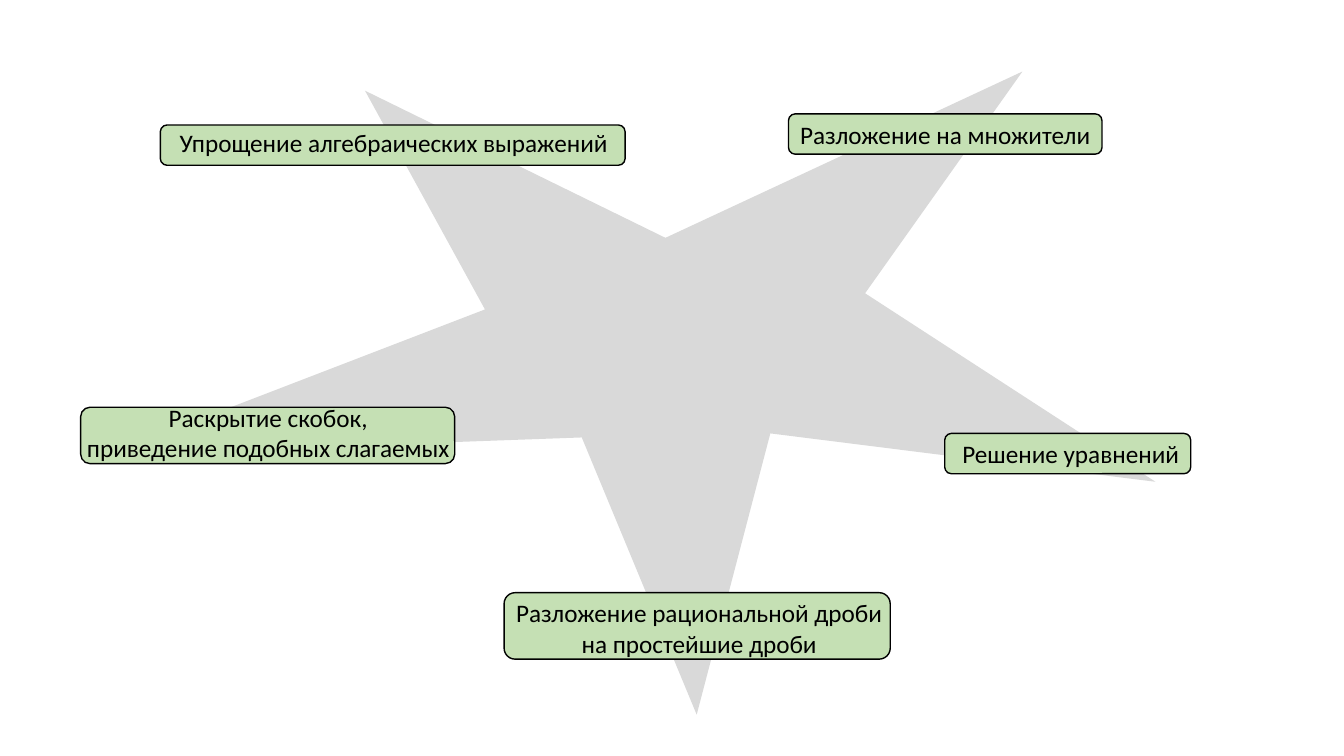
from pptx import Presentation
from pptx.dml.color import RGBColor
from pptx.enum.shapes import MSO_SHAPE
from pptx.enum.text import MSO_ANCHOR, MSO_AUTO_SIZE, PP_ALIGN
from pptx.util import Emu, Pt

EMU_PER_PX = 9144
SLIDE_SIZE = (1333, 750)

STAR_POINTS = [
    (362, 90), (660, 236), (1014, 71), (858, 291), (1146, 478), (764, 430),
    (691, 709), (577, 434), (107, 451), (481, 307),
]

TOPICS = [
    ((159, 124, 461, 40), (161, 121, 459, 37), True,
     ["Упрощение алгебраических выражений"]),
    ((80, 404, 371, 56), (74, 394, 384, 71), False,
     ["Раскрытие скобок,", "приведение подобных слагаемых"]),
    ((782, 113, 311, 40), (782, 113, 311, 40), False,
     ["Разложение на множители"]),
    ((500, 588, 383, 66), (500, 588, 387, 71), False,
     ["Разложение рациональной дроби", "на простейшие дроби"]),
    ((937, 430, 244, 40), (943, 430, 238, 40), False,
     ["Решение уравнений"]),
]


def px(*lengths):
    """Turn px lengths into EMU."""
    return [Emu(length * EMU_PER_PX) for length in lengths]


def color(hex_text):
    """Turn a hex string into a colour."""
    return RGBColor.from_string(hex_text)


class StarPage:
    """Holds the slide and the style of its elements."""

    font = "Calibri"
    text_size = 18
    ink = "000000"
    star_fill = "D9D9D9"
    plate_fill = "C5E0B4"

    def __init__(self, deck):
        """Add a blank slide to the deck."""
        self.page = deck.slides.add_slide(deck.slide_layouts[6])

    def star(self, points):
        """Draw the large star behind the topics."""
        builder = self.page.shapes.build_freeform(*points[0], scale=EMU_PER_PX)
        builder.add_line_segments(points[1:], close=True)
        shape = builder.convert_to_shape()
        shape.shadow.inherit = False
        shape.fill.solid()
        shape.fill.fore_color.rgb = color(self.star_fill)
        shape.line.fill.background()

    def plate(self, group, bounds):
        """Draw a rounded plate in a group."""
        shape = group.shapes.add_shape(MSO_SHAPE.ROUNDED_RECTANGLE, *px(*bounds))
        shape.shadow.inherit = False
        shape.fill.solid()
        shape.fill.fore_color.rgb = color(self.plate_fill)
        shape.line.color.rgb = color(self.ink)
        shape.line.width = Pt(1)

    def text(self, group, bounds, wrap, lines):
        """Write centred lines in a group."""
        box = group.shapes.add_textbox(*px(*bounds))
        frame = box.text_frame
        frame.word_wrap = wrap
        frame.auto_size = MSO_AUTO_SIZE.SHAPE_TO_FIT_TEXT
        frame.vertical_anchor = MSO_ANCHOR.TOP
        for index, line in enumerate(lines):
            para = frame.add_paragraph() if index else frame.paragraphs[0]
            para.alignment = PP_ALIGN.CENTER
            span = para.add_run()
            span.text = line
            span.font.name = self.font
            span.font.size = Pt(self.text_size)
            span.font.color.rgb = color(self.ink)

    def topic(self, plate_bounds, text_bounds, wrap, lines):
        """Group a plate with its text."""
        group = self.page.shapes.add_group_shape()
        self.plate(group, plate_bounds)
        self.text(group, text_bounds, wrap, lines)


def main():
    """Build and save the deck."""
    deck = Presentation()
    deck.slide_width, deck.slide_height = px(*SLIDE_SIZE)
    star_page = StarPage(deck)
    star_page.star(STAR_POINTS)
    for topic in TOPICS:
        star_page.topic(*topic)
    deck.save("out.pptx")


if __name__ == "__main__":
    main()
